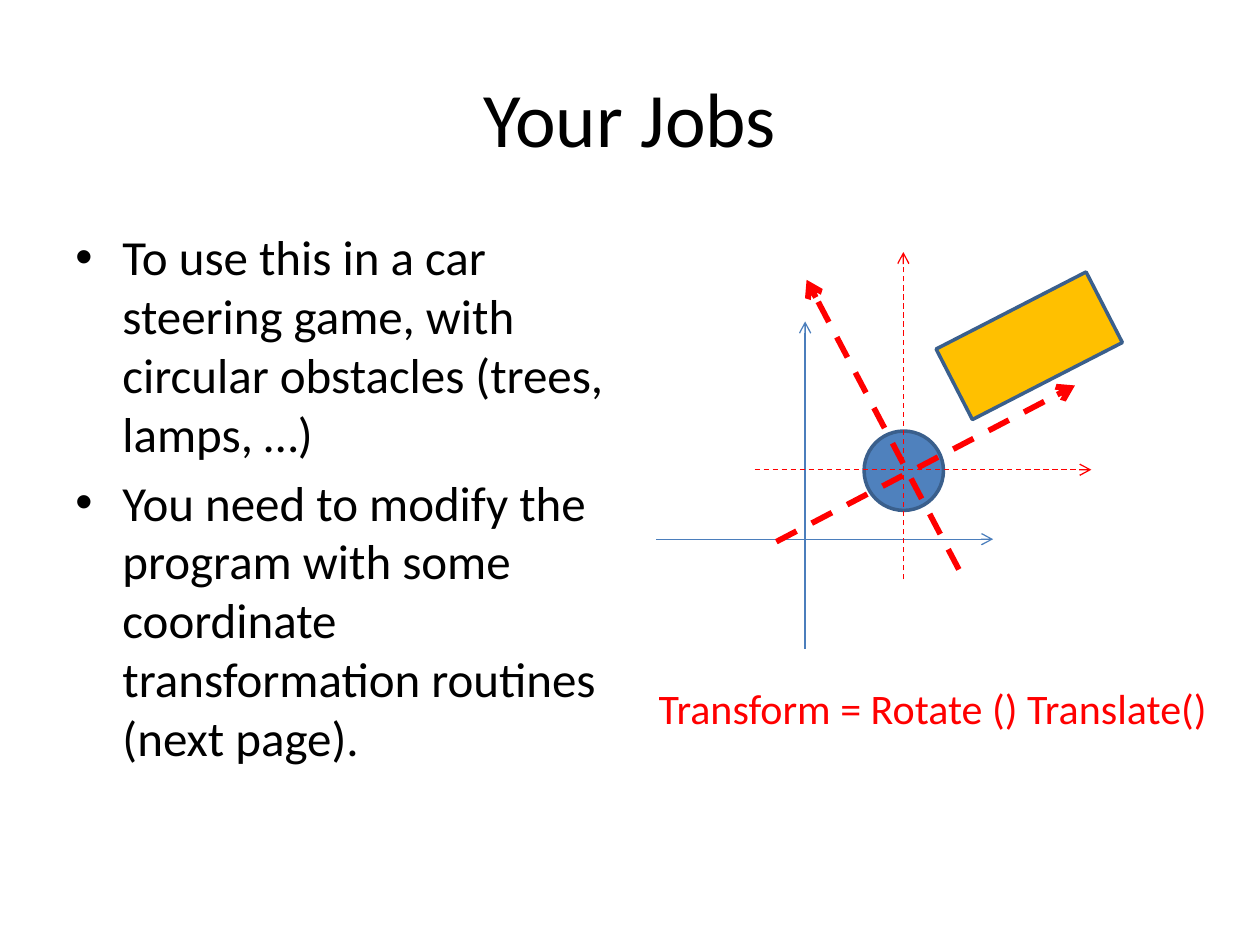
from lxml.etree import SubElement
from pptx import Presentation
from pptx.dml.color import RGBColor
from pptx.enum.dml import MSO_LINE
from pptx.enum.shapes import MSO_CONNECTOR, MSO_SHAPE
from pptx.enum.text import MSO_ANCHOR, MSO_AUTO_SIZE, PP_ALIGN
from pptx.oxml.ns import qn
from pptx.util import Cm, Pt

BLACK = RGBColor(0x00, 0x00, 0x00)
RED = RGBColor(0xFF, 0x00, 0x00)
AXIS = RGBColor(0x4B, 0x7E, 0xBC)
BLUE = RGBColor(0x4F, 0x81, 0xBD)
EDGE = RGBColor(0x3A, 0x5F, 0x8C)
GOLD = RGBColor(0xFF, 0xC0, 0x00)

deck = Presentation()
deck.slide_width, deck.slide_height = Cm(25.4), Cm(19.05)
slide = deck.slides.add_slide(deck.slide_layouts[6])
shapes = slide.shapes


def add_text(box, lines, size, color, frame, para):
    text = shapes.add_textbox(*map(Cm, box)).text_frame
    for name, value in frame.items():
        setattr(text, name, value)
    for i, line in enumerate(lines):
        par = text.paragraphs[0] if i == 0 else text.add_paragraph()
        for name, value in para.items():
            setattr(par, name, value)
        if i:
            par.space_before = Pt(size * 0.2)
        run = par.add_run()
        run.text = line
        font = {"name": "Calibri", "size": Pt(size)}
        for name, value in font.items():
            setattr(run.font, name, value)
        run.font.color.rgb = color
    return text


def add_arrow(ends, color, width, dash=None):
    line = shapes.add_connector(MSO_CONNECTOR.STRAIGHT, *map(Cm, ends))
    line.line.color.rgb = color
    for name, value in {"width": Pt(width), "dash_style": dash}.items():
        setattr(line.line, name, value)
    SubElement(line.line._get_or_add_ln(), qn("a:tailEnd"), type="arrow")
    SubElement(line._element.spPr, qn("a:effectLst"))


# Title
add_text((1.27, 0.76, 22.86, 3.18), ["Your Jobs"], 44, BLACK,
         {"word_wrap": True, "vertical_anchor": MSO_ANCHOR.MIDDLE},
         {"alignment": PP_ALIGN.CENTER})

# Bulleted tasks
tasks = add_text(
    (1.27, 4.45, 11.23, 12.57),
    ["To use this in a car steering game, with circular obstacles "
     "(trees, lamps, …)",
     "You need to modify the program with some coordinate "
     "transformation routines (next page)."],
    28, BLACK, {"word_wrap": True}, {})
for par in tasks.paragraphs:
    props = par._p.get_or_add_pPr()
    props.set("marL", str(Cm(0.95)))
    props.set("indent", str(-Cm(0.95)))
    SubElement(props, qn("a:buFont"), typeface="Arial")
    SubElement(props, qn("a:buChar"), char="•")

# World axes
axes = [(13.23, 10.87, 20.02, 10.87), (16.23, 13.08, 16.23, 6.48)]
for ends in axes:
    add_arrow(ends, AXIS, 0.75)

# Obstacle and car
for kind, box, fill, turn in [
    (MSO_SHAPE.OVAL, (17.42, 8.69, 1.6, 1.6), BLUE, 0),
    (MSO_SHAPE.RECTANGLE, (19.05, 6.17, 3.4, 1.6), GOLD, 332.8),
]:
    body = shapes.add_shape(kind, *map(Cm, box))
    body.shadow.inherit = False
    body.rotation = turn
    body.fill.solid()
    body.fill.fore_color.rgb = fill
    body.line.color.rgb = EDGE
    body.line.width = Pt(2)

# Axes moved to the obstacle
dx, dy = 1.98, -1.4
for x1, y1, x2, y2 in axes:
    add_arrow((x1 + dx, y1 + dy, x2 + dx, y2 + dy), RED, 0.75, MSO_LINE.DASH)

# Axes turned with the car
for ends in [(15.65, 10.92, 21.67, 7.77), (19.33, 11.48, 16.26, 5.64)]:
    add_arrow(ends, RED, 3.25, MSO_LINE.DASH)

# Formula
add_text((13.03, 13.64, 11.66, 1.27), ["Transform = Rotate () Translate()"],
         24, RED,
         {"word_wrap": False, "auto_size": MSO_AUTO_SIZE.SHAPE_TO_FIT_TEXT}, {})

deck.save("out.pptx")
